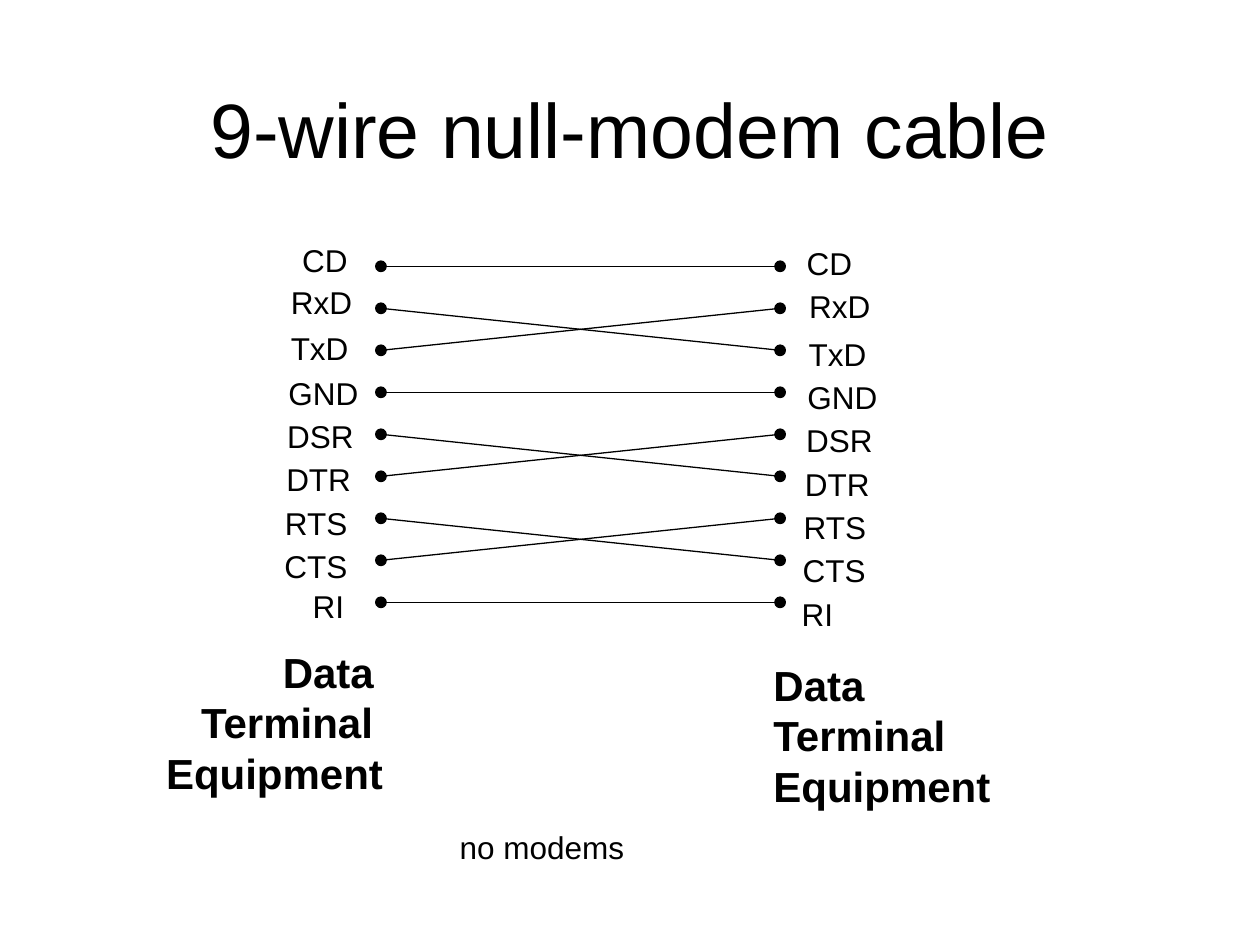
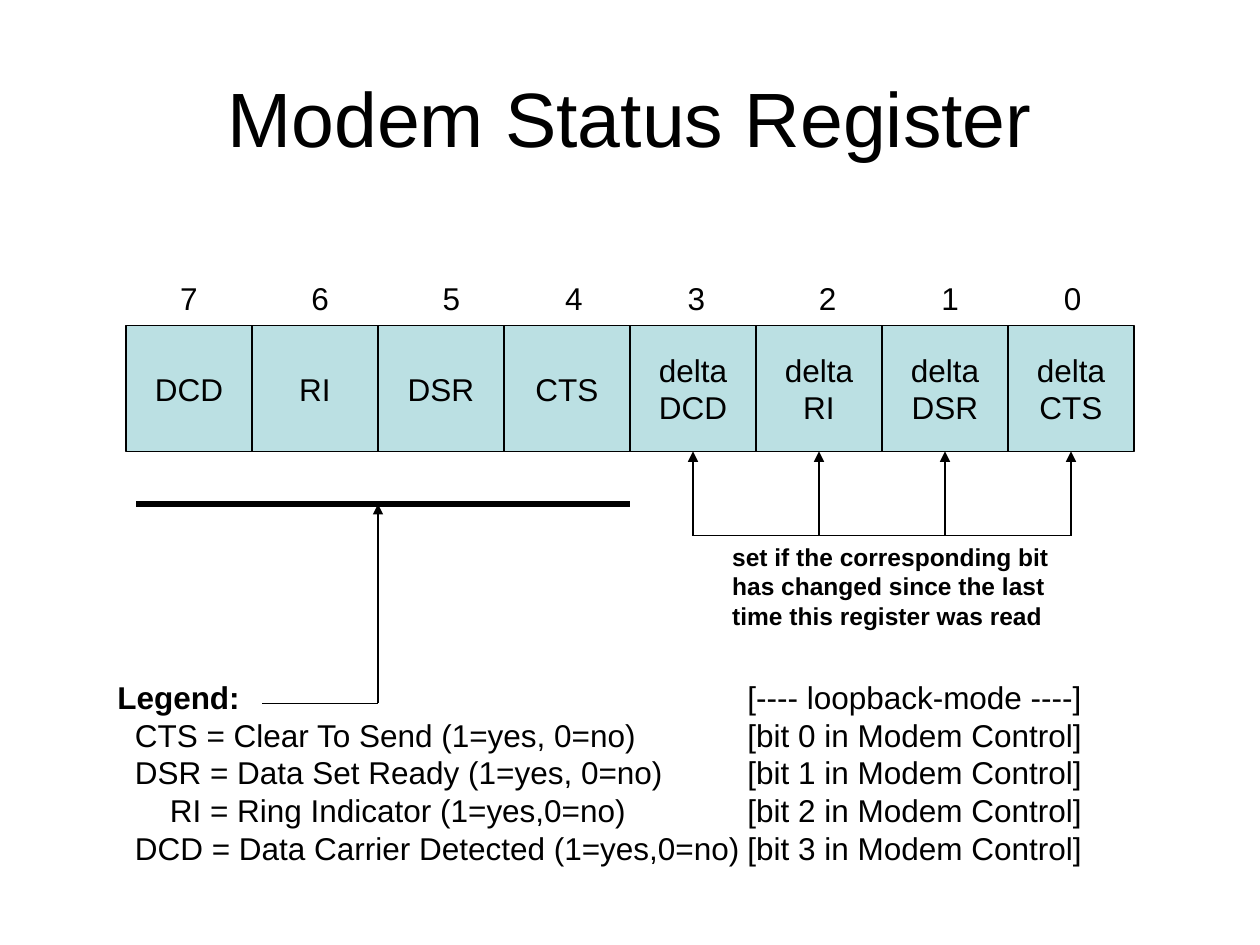
from dataclasses import dataclass

from lxml import etree
from pptx import Presentation
from pptx.dml.color import RGBColor
from pptx.enum.shapes import MSO_CONNECTOR, MSO_SHAPE
from pptx.enum.text import MSO_ANCHOR, MSO_AUTO_SIZE, PP_ALIGN
from pptx.oxml.ns import qn
from pptx.util import Pt

STRAIGHT = MSO_CONNECTOR.STRAIGHT
ELLIPSE, RECTANGLE = MSO_SHAPE.OVAL, MSO_SHAPE.RECTANGLE
LEFT, CENTER = PP_ALIGN.LEFT, PP_ALIGN.CENTER
MIDDLE = MSO_ANCHOR.MIDDLE
NO_AUTOFIT = MSO_AUTO_SIZE.NONE
TITLE_ONLY = 5


@dataclass(frozen=True)
class Theme:
    font: str = "Arial"
    ink: RGBColor = RGBColor(0x00, 0x00, 0x00)
    cell: RGBColor = RGBColor(0xBB, 0xE0, 0xE3)
    title: int = 44
    heading: int = 24
    body: int = 18
    note: int = 14
    thin: float = 0.75
    thick: float = 3


THEME = Theme()


def write_lines(shape, lines, size=THEME.body, bold=False, align=LEFT, tab_stops=()):
    """Write one paragraph per line; a line is a string or a tuple of runs.

    tab_stops holds one list of positions in points for each line.
    """
    frame = shape.text_frame
    for number, line in enumerate(lines):
        paragraph = frame.add_paragraph() if number else frame.paragraphs[0]
        paragraph.alignment = align
        if tab_stops:
            properties = paragraph._p.get_or_add_pPr()
            tab_list = etree.SubElement(properties, qn("a:tabLst"))
            for position in tab_stops[number]:
                etree.SubElement(tab_list, qn("a:tab"), pos=str(Pt(position)), algn="l")
        for text in line if isinstance(line, tuple) else (line,):
            run = paragraph.add_run()
            run.text = text
            run.font.name = THEME.font
            run.font.size = Pt(size)
            run.font.bold = bold
            run.font.color.rgb = THEME.ink


def add_line(slide, start, end, width=THEME.thin, arrow=False):
    ends = [Pt(value) for value in (*start, *end)]
    connector = slide.shapes.add_connector(STRAIGHT, *ends)
    connector.line.color.rgb = THEME.ink
    connector.line.width = Pt(width)
    if arrow:
        etree.SubElement(connector.line._get_or_add_ln(), qn("a:tailEnd"), type="triangle")
    etree.SubElement(connector._element.spPr, qn("a:effectLst"))


presentation = Presentation()
presentation.slide_width, presentation.slide_height = Pt(720), Pt(540)

slides = []
for title_text, title_top in (("9-wire null-modem cable", 28), ("Modem Status Register", 21.6)):
    slide = presentation.slides.add_slide(presentation.slide_layouts[TITLE_ONLY])
    title = slide.shapes.title
    title.left, title.top, title.width, title.height = Pt(36), Pt(title_top), Pt(648), Pt(90)
    title.text_frame.word_wrap = True
    title.text_frame.auto_size = NO_AUTOFIT
    title.text_frame.vertical_anchor = MIDDLE
    write_lines(title, [title_text], THEME.title, align=CENTER)
    slides.append(slide)
cable_slide, register_slide = slides

# Null-modem cable: pins, wires and signal names
PIN_SIZE, PIN_PITCH, FIRST_PIN_Y = 6, 24, 152.2
LEFT_PIN_X, RIGHT_PIN_X = 217.7, 445.8

# name, label width, left label x and y, right label x and y, pin at the other end
signals = [
    ("CD", 43, 165.6, 133.9, 453.8, 135.7, 0),
    ("RxD", 52, 159.1, 158, 455.3, 160.6, 2),
    ("TxD", 50, 159.1, 184.3, 455, 187.9, 1),
    ("GND", 57, 157.7, 210.2, 454.3, 212.4, 3),
    ("DSR", 55, 157, 234.7, 453.6, 236.9, 5),
    ("DTR", 54, 156.5, 259.5, 452.9, 262.1, 4),
    ("RTS", 53, 155.8, 284.4, 452.2, 286.6, 7),
    ("CTS", 53, 155.5, 308.9, 451.6, 311.3, 6),
    ("RI", 35, 171.6, 331.9, 451, 336.2, 8),
]
for index, (name, width, left_x, left_y, right_x, right_y, partner) in enumerate(signals):
    pin_y = FIRST_PIN_Y + index * PIN_PITCH
    partner_y = FIRST_PIN_Y + partner * PIN_PITCH
    add_line(cable_slide, (LEFT_PIN_X, pin_y), (RIGHT_PIN_X, partner_y))
    for pin_x, label_x, label_y in ((LEFT_PIN_X, left_x, left_y), (RIGHT_PIN_X, right_x, right_y)):
        pin = cable_slide.shapes.add_shape(
            ELLIPSE, Pt(pin_x - PIN_SIZE / 2), Pt(pin_y - PIN_SIZE / 2), Pt(PIN_SIZE), Pt(PIN_SIZE))
        pin.shadow.inherit = False
        pin.fill.solid()
        pin.fill.fore_color.rgb = THEME.ink
        pin.line.color.rgb = THEME.ink
        pin.line.width = Pt(THEME.thin)
        label = cable_slide.shapes.add_textbox(Pt(label_x), Pt(label_y), Pt(width), Pt(29))
        label.text_frame.word_wrap = True
        write_lines(label, [name])

# The left device name steps outwards, the right one is flush left
left_device = ["\tData", "\tTerminal", "Equipment"]
right_device = ["Data", "Terminal", "Equipment"]
for device_x, device_y, lines, tab_stops in (
        (87.8, 365.8, left_device, [[66.7], [20], []]), (434.9, 373.2, right_device, ())):
    device = cable_slide.shapes.add_textbox(Pt(device_x), Pt(device_y), Pt(142), Pt(93.6))
    device.text_frame.word_wrap = True
    write_lines(device, lines, THEME.heading, True, tab_stops=tab_stops)

caption = cable_slide.shapes.add_textbox(Pt(255.6), Pt(469.4), Pt(114), Pt(29))
caption.text_frame.word_wrap = True
write_lines(caption, ["no modems"])

# Modem status register: one square cell per bit
CELL, REGISTER_LEFT, REGISTER_TOP = 72, 72, 186
REGISTER_BOTTOM = REGISTER_TOP + CELL

status_bits = ["DCD", "RI", "DSR", "CTS"]
cells = [[name] for name in status_bits] + [["delta", name] for name in status_bits]
for index, lines in enumerate(cells):
    cell = register_slide.shapes.add_shape(
        RECTANGLE, Pt(REGISTER_LEFT + index * CELL), Pt(REGISTER_TOP), Pt(CELL), Pt(CELL))
    cell.shadow.inherit = False
    cell.fill.solid()
    cell.fill.fore_color.rgb = THEME.cell
    cell.line.color.rgb = THEME.ink
    cell.line.width = Pt(THEME.thin)
    cell.text_frame.word_wrap = False
    cell.text_frame.vertical_anchor = MIDDLE
    write_lines(cell, lines, align=CENTER)

bit_numbers = register_slide.shapes.add_textbox(Pt(95.8), Pt(155.8), Pt(532), Pt(29))
bit_numbers.text_frame.word_wrap = True
write_lines(bit_numbers, ["7\t6\t5\t4\t3\t2\t1\t0"],
            tab_stops=[[75, 150, 220, 290, 365, 435, 505]])

# Bracket under the four delta bits
BRACKET_Y = 306
delta_centers = [REGISTER_LEFT + (index + 0.5) * CELL for index in range(4, 8)]
for center_x in delta_centers:
    add_line(register_slide, (center_x, BRACKET_Y), (center_x, REGISTER_BOTTOM), arrow=True)
add_line(register_slide, (delta_centers[0], BRACKET_Y), (delta_centers[-1], BRACKET_Y))

delta_note = register_slide.shapes.add_textbox(Pt(411.3), Pt(BRACKET_Y), Pt(204), Pt(60))
delta_note.text_frame.word_wrap = True
write_lines(delta_note, ["set if the corresponding bit", "has changed since the last",
                         "time this register was read"], THEME.note, True)

# Legend for the four status bits
INDENT, RI_INDENT, LOOPBACK_COLUMN = 10, 30, 360
legend = register_slide.shapes.add_textbox(Pt(60), Pt(383.8), Pt(580), Pt(115.2))
legend.text_frame.word_wrap = True
write_lines(
    legend,
    [("Legend:", "\t[---- loopback-mode ----]"),
     "\tCTS = Clear To Send (1=yes, 0=no)\t[bit 0 in Modem Control]",
     "\tDSR = Data Set Ready (1=yes, 0=no)\t[bit 1 in Modem Control]",
     "\tRI = Ring Indicator (1=yes,0=no)\t[bit 2 in Modem Control]",
     "\tDCD = Data Carrier Detected (1=yes,0=no)\t[bit 3 in Modem Control]"],
    tab_stops=[[LOOPBACK_COLUMN]]
    + [[indent, LOOPBACK_COLUMN] for indent in (INDENT, INDENT, RI_INDENT, INDENT)])
legend.text_frame.paragraphs[0].runs[0].font.bold = True

STATUS_BAR_Y, LEGEND_Y, ELBOW_X = 288, 402, 216
add_line(register_slide, (78, STATUS_BAR_Y), (360, STATUS_BAR_Y), THEME.thick)
add_line(register_slide, (ELBOW_X, LEGEND_Y), (ELBOW_X, STATUS_BAR_Y), arrow=True)
add_line(register_slide, (150, LEGEND_Y), (ELBOW_X, LEGEND_Y))

presentation.save("out.pptx")
